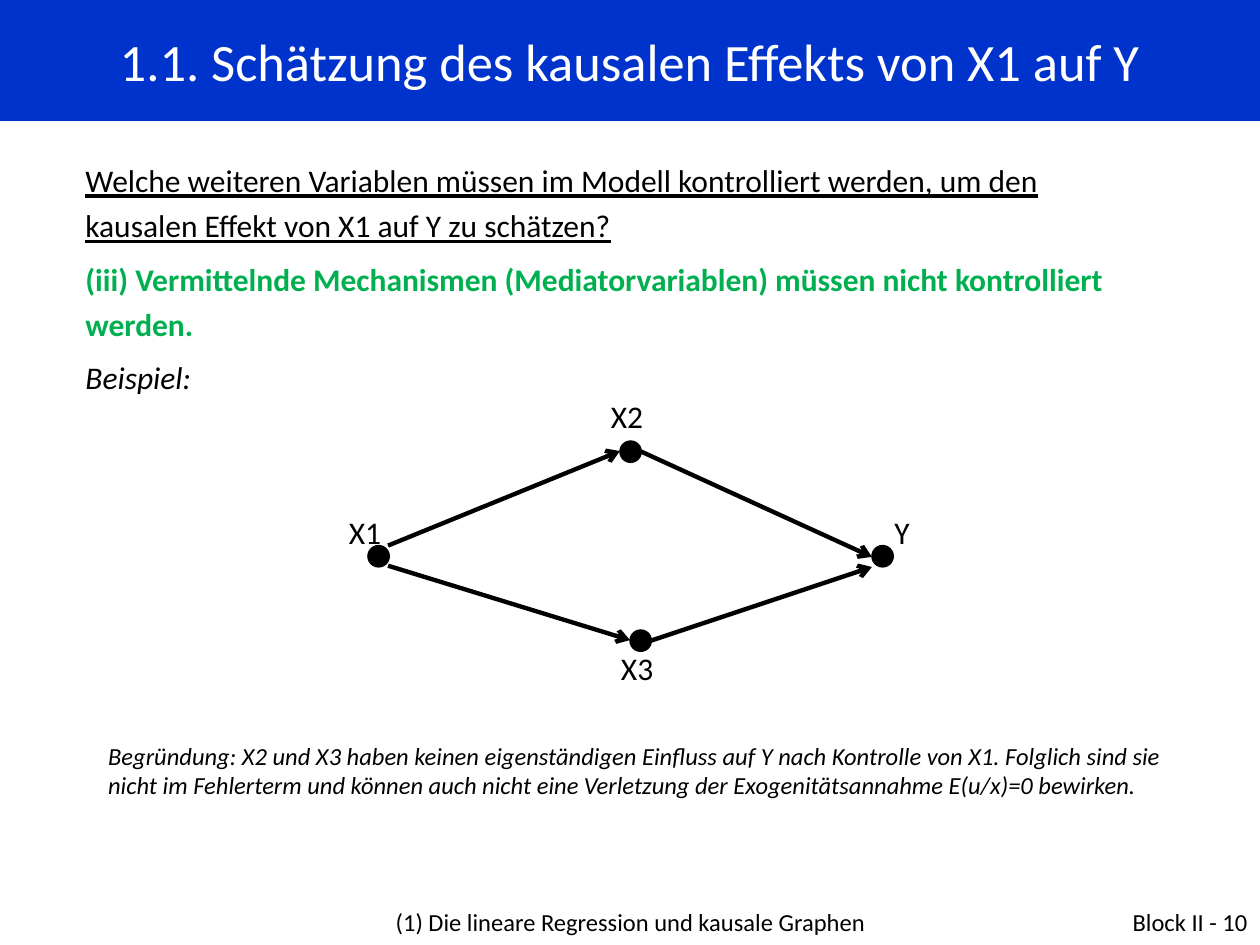
from dataclasses import dataclass

from lxml.etree import SubElement
from pptx import Presentation
from pptx.dml.color import RGBColor
from pptx.enum.shapes import MSO_CONNECTOR as Connector, MSO_SHAPE as Shape
from pptx.enum.text import MSO_ANCHOR as Anchor, PP_ALIGN as Align
from pptx.oxml.ns import qn
from pptx.util import Inches, Pt

COLORS = {"black": "000000", "white": "FFFFFF", "blue": "0033CC", "green": "00B050"}
FONT = "Calibri"
NODE_SIZE = 0.17


@dataclass(frozen=True)
class Text:
    content: str
    size: int = 18
    color: str = "black"
    align: Align = Align.LEFT
    bold: bool = False
    italic: bool = False
    underline: bool = False
    line_spacing: float = 1.0
    space_after: float = 0


@dataclass(frozen=True)
class Node:
    """A graph variable: dot position, and its label's box."""
    name: str
    left: float
    top: float
    label_left: float
    label_top: float
    label_width: float


@dataclass(frozen=True)
class Arrow:
    start: tuple[float, float]
    end: tuple[float, float]


def rgb(name: str) -> RGBColor:
    return RGBColor.from_string(COLORS[name])


def write(frame, texts: list[Text]) -> None:
    frame.word_wrap = True
    for index, text in enumerate(texts):
        paragraph = frame.add_paragraph() if index else frame.paragraphs[0]
        paragraph.text = text.content
        paragraph.alignment = text.align
        paragraph.line_spacing = text.line_spacing
        paragraph.space_after = Pt(text.space_after)
        font = paragraph.font
        font.name, font.size = FONT, Pt(text.size)
        font.bold, font.italic, font.underline = text.bold, text.italic, text.underline
        font.color.rgb = rgb(text.color)


def add_text(slide, left: float, top: float, width: float, height: float, *texts: Text) -> None:
    box = slide.shapes.add_textbox(Inches(left), Inches(top), Inches(width), Inches(height))
    write(box.text_frame, list(texts))


def add_title(slide, text: Text) -> None:
    bar = slide.shapes.add_shape(Shape.RECTANGLE, 0, 0, Inches(10), Inches(0.96))
    bar.shadow.inherit = False
    bar.fill.solid()
    bar.fill.fore_color.rgb = rgb("blue")
    bar.line.fill.background()
    bar.text_frame.vertical_anchor = Anchor.MIDDLE
    write(bar.text_frame, [text])


def add_node(slide, node: Node) -> None:
    dot = slide.shapes.add_shape(Shape.OVAL, Inches(node.left), Inches(node.top),
                                 Inches(NODE_SIZE), Inches(NODE_SIZE))
    dot.shadow.inherit = False
    dot.fill.solid()
    dot.fill.fore_color.rgb = rgb("black")
    dot.line.color.rgb = rgb("black")
    dot.line.width = Pt(0.75)
    add_text(slide, node.label_left, node.label_top, node.label_width, 0.4, Text(node.name))


def add_arrow(slide, arrow: Arrow) -> None:
    points = [Inches(value) for value in (*arrow.start, *arrow.end)]
    connector = slide.shapes.add_connector(Connector.STRAIGHT, *points)
    connector.line.color.rgb = rgb("black")
    connector.line.width = Pt(2.5)
    SubElement(connector.line._get_or_add_ln(), qn("a:tailEnd"), type="arrow")
    SubElement(connector._element.spPr, qn("a:effectLst"))


NODES = [
    Node("X1", 2.92, 4.33, 2.67, 4.02, 0.5),
    Node("X2", 4.92, 3.5, 4.75, 3.1, 0.58),
    Node("X3", 5, 5, 4.83, 5.1, 0.58),
    Node("Y", 6.92, 4.33, 7, 4.02, 0.5),
]
ARROWS = [
    Arrow((3.08, 4.33), (4.92, 3.58)),  # X1 to X2
    Arrow((5.08, 3.58), (6.92, 4.42)),  # X2 to Y
    Arrow((3.08, 4.49), (5, 5.08)),     # X1 to X3
    Arrow((5.12, 5.1), (6.92, 4.5)),    # X3 to Y
]


def main() -> None:
    presentation = Presentation()
    presentation.slide_width, presentation.slide_height = Inches(10), Inches(7.5)
    slide = presentation.slides.add_slide(presentation.slide_layouts[6])

    # Question and answer
    spacing = {"line_spacing": 1.2, "space_after": 4.5}
    add_text(
        slide, 0.58, 1.17, 8.43, 2.07,
        Text("Welche weiteren Variablen müssen im Modell kontrolliert werden, "
             "um den kausalen Effekt von X1 auf Y zu schätzen?", underline=True, **spacing),
        Text("(iii) Vermittelnde Mechanismen (Mediatorvariablen) müssen nicht "
             "kontrolliert werden.", color="green", bold=True, **spacing),
        Text("Beispiel:", italic=True, **spacing),
    )

    # Title bar
    add_title(slide, Text("1.1. Schätzung des kausalen Effekts von X1 auf Y",
                          size=30, color="white", align=Align.CENTER))

    # Causal graph
    for node in NODES:
        add_node(slide, node)
    for arrow in ARROWS:
        add_arrow(slide, arrow)

    # Explanation
    add_text(slide, 0.76, 5.83, 8.65, 0.57,
             Text("Begründung: X2 und X3 haben keinen eigenständigen Einfluss auf Y nach "
                  "Kontrolle von X1. Folglich sind sie nicht im Fehlerterm und können auch "
                  "nicht eine Verletzung der Exogenitätsannahme E(u/x)=0 bewirken.",
                  size=14, italic=True))

    # Footer
    add_text(slide, 2.42, 7.15, 5.17, 0.52,
             Text("(1) Die lineare Regression und kausale Graphen", size=14, align=Align.CENTER))
    add_text(slide, 7.67, 7.15, 2.33, 0.52,
             Text("Block II - 10", size=14, align=Align.RIGHT))

    presentation.save("out.pptx")


if __name__ == "__main__":
    main()
